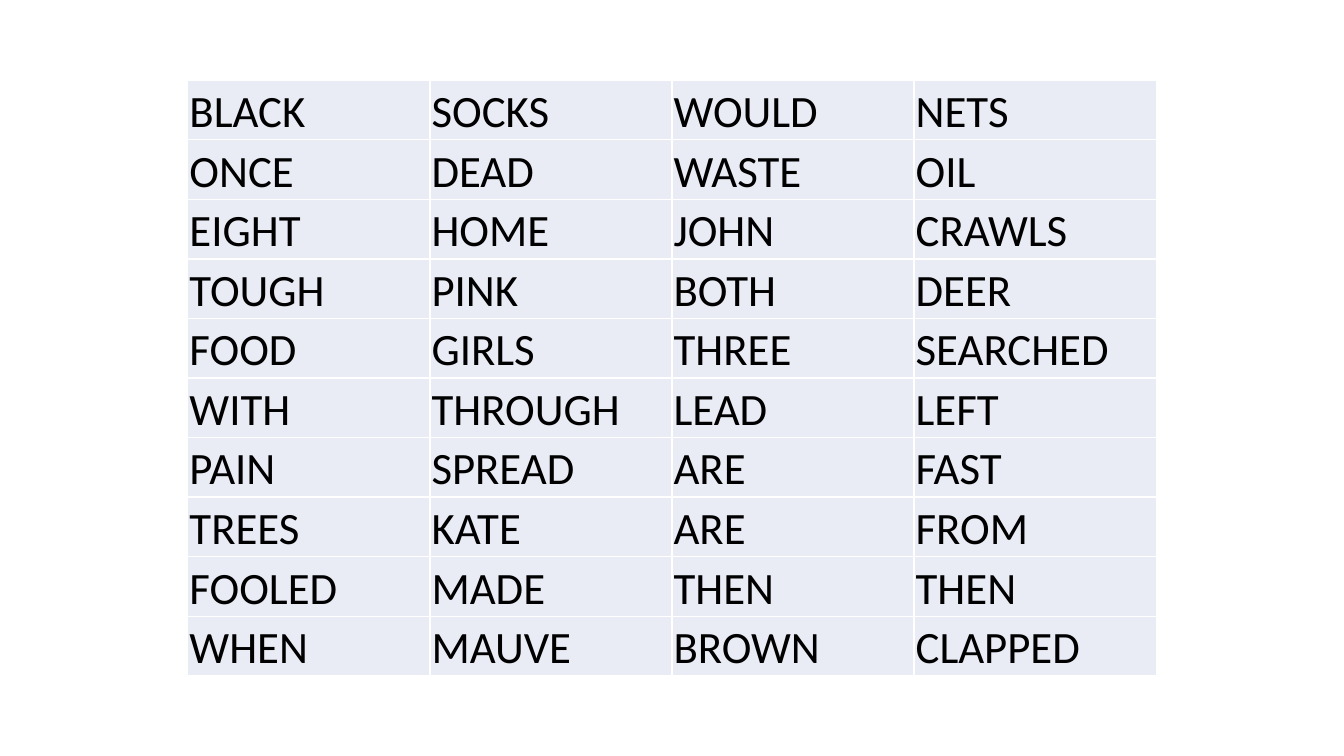
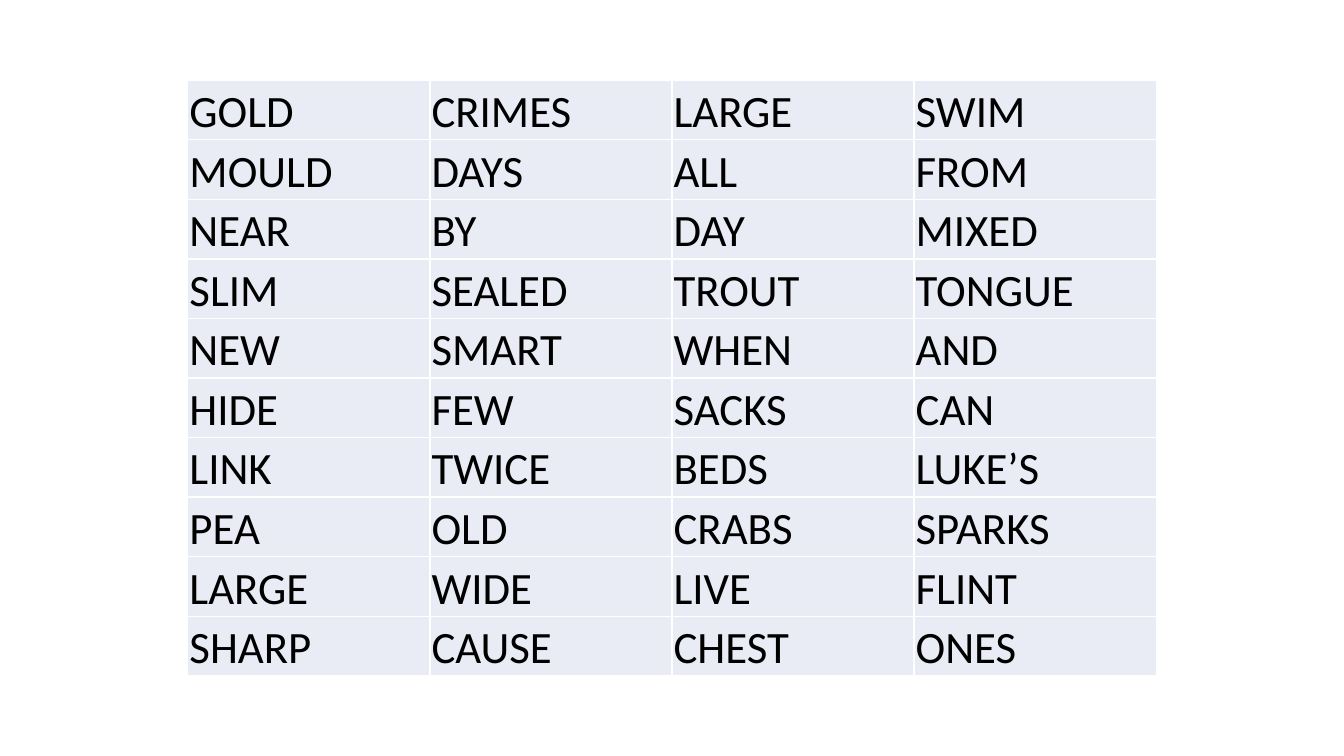
"""Build two slides of word grids."""
import dataclasses

import lxml.etree
import pptx
import pptx.dml.color
import pptx.enum.text
import pptx.oxml.ns
import pptx.util

Cm = pptx.util.Cm


@dataclasses.dataclass(frozen=True)
class Theme:
    """Colours, type and line sizes shared by the slides."""
    ink: str = "000000"
    cell: str = "E9EBF5"
    rule: str = "FFFFFF"
    font: str = "Calibri"
    word_size: int = 32
    rule_width: int = 1


@dataclasses.dataclass(frozen=True)
class Box:
    """A region of a slide, in centimetres."""
    left: float
    top: float
    width: float
    height: float


THEME = Theme()
SLIDE_WIDTH, SLIDE_HEIGHT = 33.87, 19.05
GRID_WIDTH, GRID_HEIGHT = 24.4, 15
GRID_BOX = Box((SLIDE_WIDTH - GRID_WIDTH) / 2, (SLIDE_HEIGHT - GRID_HEIGHT) / 2,
               GRID_WIDTH, GRID_HEIGHT)
CELL_INSET = 0.04

WORD_GRIDS = [
    """BLACK SOCKS WOULD NETS
    ONCE DEAD WASTE OIL
    EIGHT HOME JOHN CRAWLS
    TOUGH PINK BOTH DEER
    FOOD GIRLS THREE SEARCHED
    WITH THROUGH LEAD LEFT
    PAIN SPREAD ARE FAST
    TREES KATE ARE FROM
    FOOLED MADE THEN THEN
    WHEN MAUVE BROWN CLAPPED""",
    """GOLD CRIMES LARGE SWIM
    MOULD DAYS ALL FROM
    NEAR BY DAY MIXED
    SLIM SEALED TROUT TONGUE
    NEW SMART WHEN AND
    HIDE FEW SACKS CAN
    LINK TWICE BEDS LUKE’S
    PEA OLD CRABS SPARKS
    LARGE WIDE LIVE FLINT
    SHARP CAUSE CHEST ONES""",
]


def rule_cell(cell):
    """Draw a thin rule on all four sides of a cell."""
    qn = pptx.oxml.ns.qn
    properties = cell._tc.get_or_add_tcPr()
    for side in ("lnL", "lnR", "lnT", "lnB"):
        rule = lxml.etree.SubElement(properties, qn(f"a:{side}"),
                                     w=str(pptx.util.Pt(THEME.rule_width)))
        paint = lxml.etree.SubElement(rule, qn("a:solidFill"))
        lxml.etree.SubElement(paint, qn("a:srgbClr"), val=THEME.rule)


def write_word(cell, word):
    """Put one word at the foot of a filled, ruled cell."""
    rule_cell(cell)
    cell.fill.solid()
    cell.fill.fore_color.rgb = pptx.dml.color.RGBColor.from_string(THEME.cell)
    cell.margin_left = cell.margin_right = cell.margin_top = Cm(CELL_INSET)
    cell.margin_bottom = 0
    cell.vertical_anchor = pptx.enum.text.MSO_ANCHOR.BOTTOM
    cell.text_frame.text = word
    font = cell.text_frame.paragraphs[0].runs[0].font
    font.name = THEME.font
    font.size = pptx.util.Pt(THEME.word_size)
    font.color.rgb = pptx.dml.color.RGBColor.from_string(THEME.ink)


def add_word_grid(slide, box, words):
    """Fill a box with an even grid of words."""
    grid = slide.shapes.add_table(len(words), len(words[0]), Cm(box.left), Cm(box.top),
                                  Cm(box.width), Cm(box.height)).table
    grid.first_row = grid.horz_banding = False
    for row, row_words in enumerate(words):
        for column, word in enumerate(row_words):
            write_word(grid.cell(row, column), word)


def build():
    """Build and save the presentation."""
    deck = pptx.Presentation()
    deck.slide_width, deck.slide_height = Cm(SLIDE_WIDTH), Cm(SLIDE_HEIGHT)
    for word_grid in WORD_GRIDS:
        slide = deck.slides.add_slide(deck.slide_layouts[6])
        add_word_grid(slide, GRID_BOX, [line.split() for line in word_grid.splitlines()])
    deck.save("out.pptx")


build()
